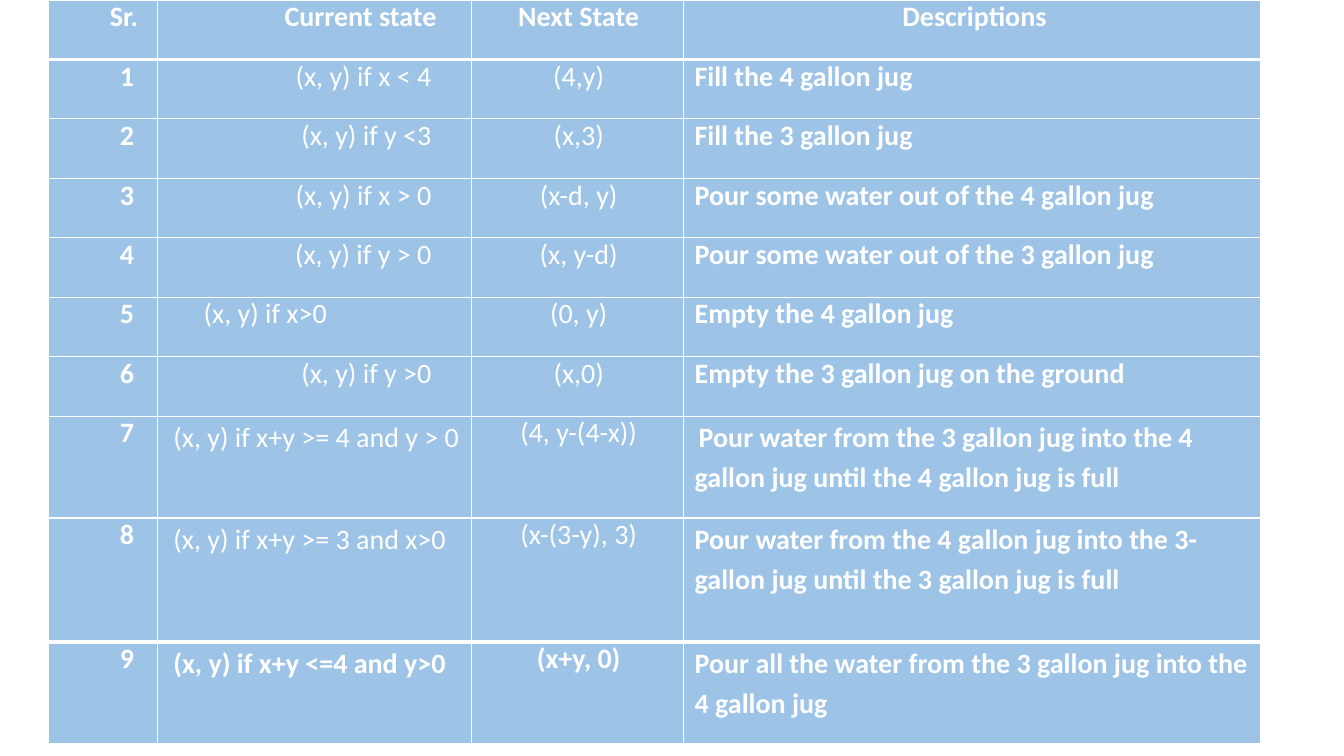
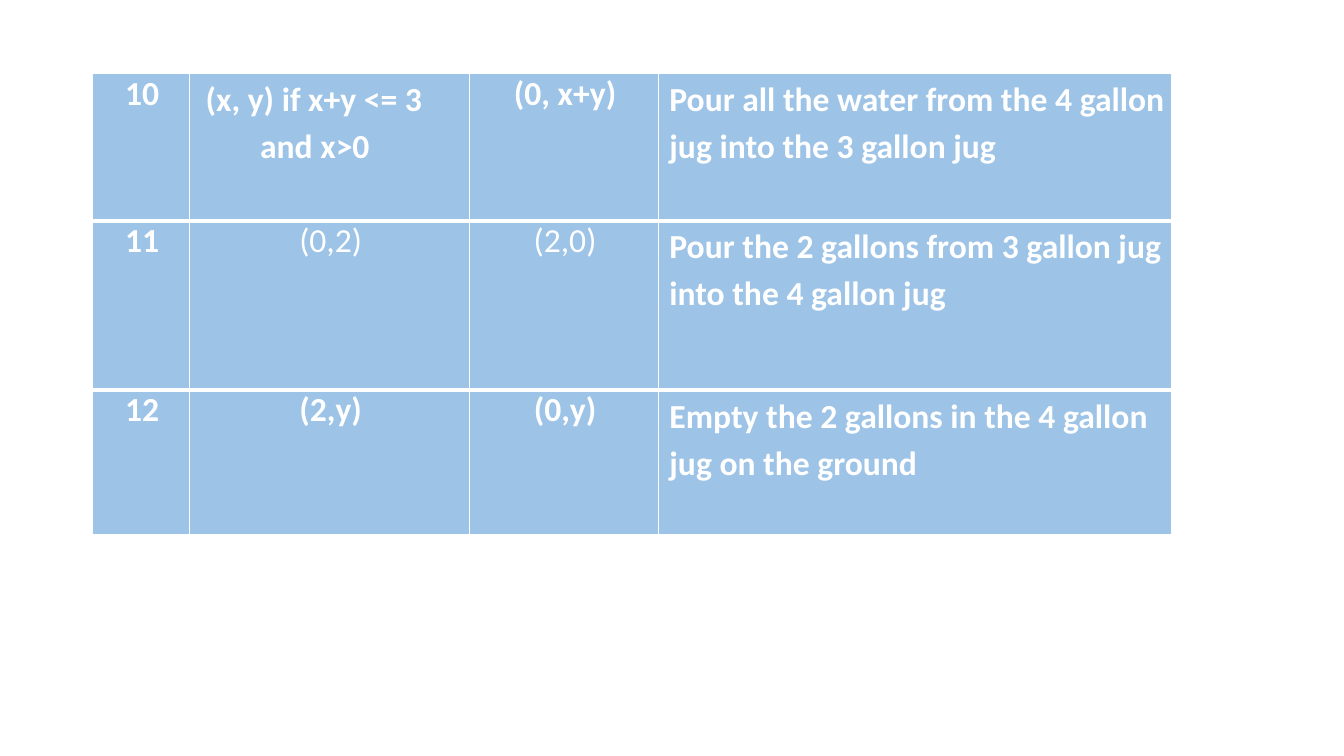
from lxml import etree
from pptx import Presentation
from pptx import util as u
from pptx.dml.color import RGBColor
from pptx.enum import text
from pptx.oxml.ns import qn

FONT, WHITE, SKY = "Calibri", "FFFFFF", "9DC3E6"
THIN, THICK = 1, 3
ALIGN = {"l": text.PP_ALIGN.LEFT, "c": text.PP_ALIGN.CENTER, "r": text.PP_ALIGN.RIGHT}


def color(code):
    return RGBColor.from_string(code)


def style(align="l", left=0, right=0, first=0, spacing=1.0, bold=False):
    return dict(align=align, left=left, right=right, first=first,
                spacing=spacing, bold=bold)


# Cell formats shared by the two tables
NUMBER = style("r", right=0.23, bold=True)
NUMBER_MID = style("c", left=0.18, right=0.16, bold=True)
STATE = style("r", right=0.4)
STATE_MID = style("c", left=0.66, right=0.64)
STATE_LEFT = style(left=0.46)
STATE_HANGING = style(left=0.7, first=-0.54, spacing=1.15)
NEXT = style("c", left=0.18, right=0.16)
DETAIL = style(left=0.11, bold=True)
DETAIL_LONG = dict(DETAIL, spacing=1.15)


def strong(look):
    return dict(look, bold=True)


HEADER = [style("r", right=0.19, bold=True), style("r", right=0.35, bold=True),
          strong(NEXT), style("c", left=1.06, right=1.01, bold=True)]
SHORT = [NUMBER, STATE, NEXT, DETAIL]
SHORT_LEFT = [NUMBER, STATE_LEFT, NEXT, DETAIL]
LONG = [NUMBER, STATE_HANGING, NEXT, DETAIL_LONG]
LONG_FIRST = LONG[:3] + [dict(DETAIL_LONG, first=0.04)]
LONG_STRONG = [NUMBER, strong(STATE_HANGING), strong(NEXT), DETAIL_LONG]
MID = [NUMBER_MID, STATE_MID, NEXT, DETAIL_LONG]
MID_STRONG = [NUMBER_MID, strong(STATE_MID), strong(NEXT), DETAIL_LONG]
MID_HANGING = [NUMBER_MID] + LONG_STRONG[1:]

# Rows: height, formats, wording
FIRST_RULES = [
    (0.59, HEADER, ["Sr.", "Current state", "Next State", "Descriptions"]),
    (0.59, SHORT, ["1", "(x, y) if x < 4", "(4,y)", "Fill the 4 gallon jug"]),
    (0.59, SHORT, ["2", "(x, y) if y <3", "(x,3)", "Fill the 3 gallon jug"]),
    (0.59, SHORT, ["3", "(x, y) if x > 0", "(x-d, y)",
                   "Pour some water out of the 4 gallon jug"]),
    (0.59, SHORT, ["4", "(x, y) if y > 0", "(x, y-d)",
                   "Pour some water out of the 3 gallon jug"]),
    (0.59, SHORT_LEFT, ["5", "(x, y) if x>0", "(0, y)", "Empty the 4 gallon jug"]),
    (0.59, SHORT, ["6", "(x, y) if y >0", "(x,0)",
                   "Empty the 3 gallon jug on the ground"]),
    (1.01, LONG_FIRST, ["7", "(x, y) if x+y >= 4 and y > 0", "(4, y-(4-x))",
                        "Pour water from the 3 gallon jug into the 4 gallon jug "
                        "until the 4 gallon jug is full"]),
    (1.23, LONG, ["8", "(x, y) if x+y >= 3 and x>0", "(x-(3-y), 3)",
                  "Pour water from the 4 gallon jug into the 3-gallon jug "
                  "until the 3 gallon jug is full"]),
    (1.01, LONG_STRONG, ["9", "(x, y) if x+y <=4 and y>0", "(x+y, 0)",
                         "Pour all the water from the 3 gallon jug into the "
                         "4 gallon jug"]),
]
LAST_RULES = [
    (1.46, MID_HANGING, ["10", "(x, y) if x+y <= 3 and x>0", "(0, x+y)",
                         "Pour all the water from the 4 gallon jug into the "
                         "3 gallon jug"]),
    (1.68, MID, ["11", "(0,2)", "(2,0)",
                 "Pour the 2 gallons from 3 gallon jug into the 4 gallon jug"]),
    (1.43, MID_STRONG, ["12", "(2,y)", "(0,y)",
                        "Empty the 2 gallons in the 4 gallon jug on the ground"]),
]


def write(frame, words, size, align, left, right, first, spacing, bold):
    frame.word_wrap = True
    para = frame.paragraphs[0]
    props = para._p.get_or_add_pPr()
    for name, inches in (("marL", left), ("marR", right), ("indent", first)):
        props.set(name, str(u.Inches(inches)))
    para.alignment = ALIGN[align]
    para.line_spacing = spacing
    span = para.add_run()
    span.text = words
    span.font.name, span.font.size, span.font.bold = FONT, u.Pt(size), bold
    span.font.color.rgb = color(WHITE)


def add_borders(cell, top, bottom):
    props = cell._tc.get_or_add_tcPr()
    for side, width in (("L", THIN), ("R", THIN), ("T", top), ("B", bottom)):
        line = etree.SubElement(props, qn(f"a:ln{side}"), w=str(u.Pt(width)))
        fill = etree.SubElement(line, qn("a:solidFill"))
        etree.SubElement(fill, qn("a:srgbClr"), val=WHITE)


def add_rules(page, left, top, widths, rules, size, thick_edges):
    """Draw a rule table; thick_edges lists the row boundaries drawn thick."""
    heights = [height for height, _, _ in rules]
    table = page.shapes.add_table(
        len(rules), len(widths), u.Inches(left), u.Inches(top),
        u.Inches(sum(widths)), u.Inches(sum(heights))).table
    table.first_row = table.horz_banding = False
    for column, width in zip(table.columns, widths):
        column.width = u.Inches(width)

    def edge(index):
        return THICK if index in thick_edges else THIN

    for index, (height, looks, wording) in enumerate(rules):
        table.rows[index].height = u.Inches(height)
        for cell, look, words in zip(table.rows[index].cells, looks, wording):
            cell.margin_left = cell.margin_right = 0
            cell.margin_top = cell.margin_bottom = 0
            add_borders(cell, edge(index), edge(index + 1))
            cell.fill.solid()
            cell.fill.fore_color.rgb = color(SKY)
            write(cell.text_frame, words, size, **look)


def main():
    deck = Presentation()
    deck.slide_width, deck.slide_height = u.Inches(13.33), u.Inches(7.5)
    blank = deck.slide_layouts[6]
    # Rules 1 to 9
    add_rules(deck.slides.add_slide(blank), 0.48, 0, [1.08, 3.12, 2.1, 5.72],
              FIRST_RULES, size=20, thick_edges={1, 9})
    # Rules 10 to 12
    add_rules(deck.slides.add_slide(blank), 0.92, 0.73, [0.96, 2.78, 1.87, 5.09],
              LAST_RULES, size=24, thick_edges={1, 2})
    deck.save("out.pptx")


if __name__ == "__main__":
    main()
